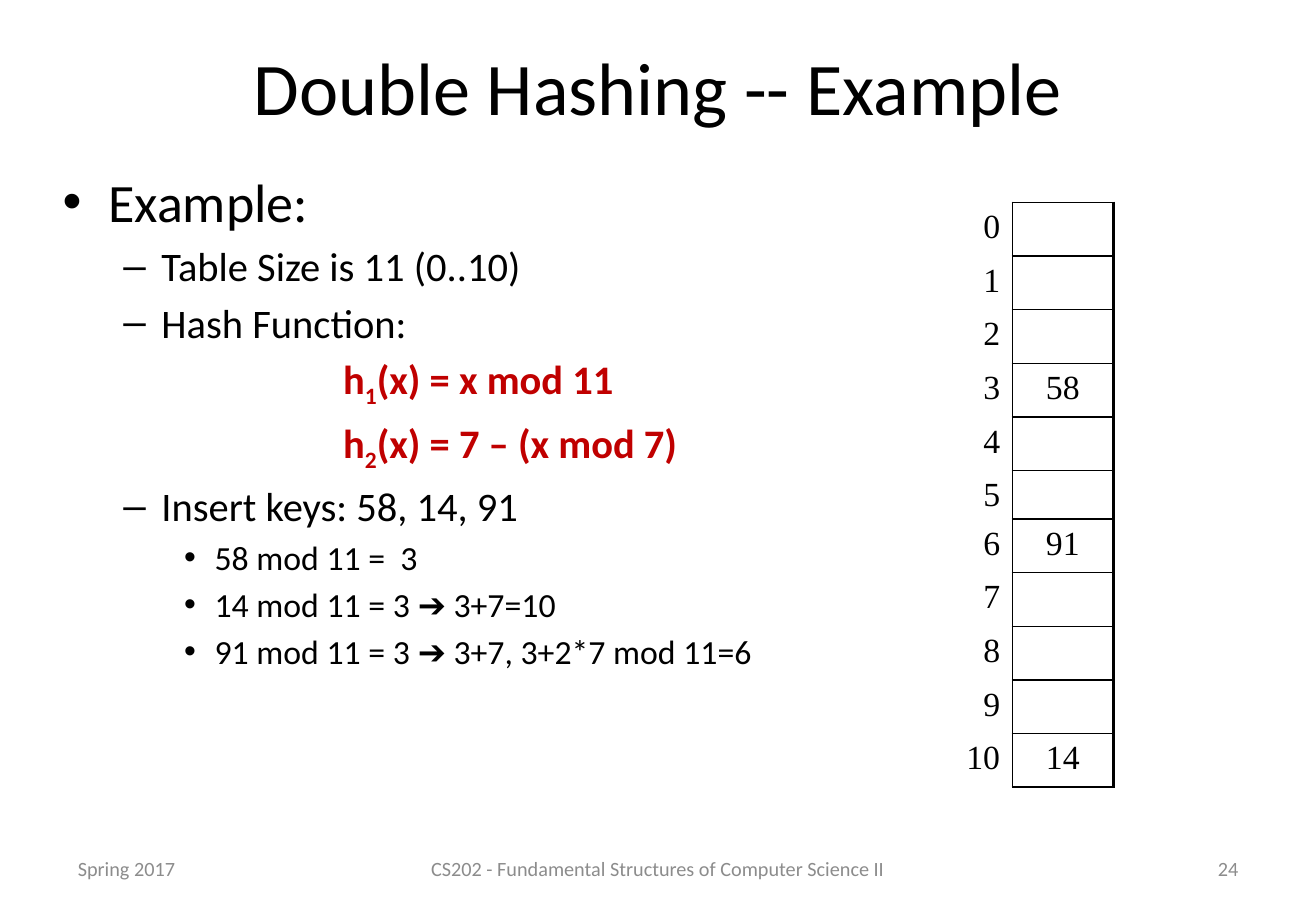
from dataclasses import dataclass

from pptx import Presentation, oxml, util as u
from pptx.dml import color
from pptx.enum import text as t
from pptx.oxml import ns

EMU_PER_PX = 7620


@dataclass(frozen=True)
class Theme:
    black: str = "000000"
    red: str = "C00000"
    grey: str = "8C8C8C"
    sans: str = "Calibri"
    serif: str = "Times New Roman"
    title_size: int = 44
    level_sizes: tuple[int, ...] = (32, 24, 20)
    cell_size: int = 20
    footer_size: int = 12
    thin_line: float = 1
    thick_line: float = 2.25


@dataclass(frozen=True)
class Box:
    left: int
    top: int
    width: int
    height: int

    def emu(self) -> tuple[int, int, int, int]:
        return px(self.left), px(self.top), px(self.width), px(self.height)


@dataclass(frozen=True)
class Bullet:
    text: str
    level: int


@dataclass(frozen=True)
class Formula:
    index: str
    expression: str


@dataclass(frozen=True)
class Footer:
    text: str
    box: Box
    align: t.PP_ALIGN


THEME = Theme()
TITLE_BOX = Box(65, 30, 1170, 110)
BODY_BOX = Box(50, 160, 810, 670)
FORMULA_LEVEL = 1
FORMULA_MARGIN = 277
BODY = (
    Bullet("Example:", 0),
    Bullet("Table Size is 11 (0..10)", 1),
    Bullet("Hash Function:", 1),
    Formula("1", "(x) = x mod 11"),
    Formula("2", "(x) = 7 – (x mod 7)"),
    Bullet("Insert keys: 58, 14, 91", 1),
    Bullet("58 mod 11 =  3", 2),
    Bullet("14 mod 11 = 3 ➔ 3+7=10", 2),
    Bullet("91 mod 11 = 3 ➔ 3+7, 3+2*7 mod 11=6", 2),
)
FOOTERS = (
    Footer("Spring 2017", Box(65, 834, 304, 48), t.PP_ALIGN.LEFT),
    Footer("CS202 - Fundamental Structures of Computer Science II",
           Box(410, 834, 480, 48), t.PP_ALIGN.CENTER),
    Footer("24", Box(931, 834, 304, 48), t.PP_ALIGN.RIGHT),
)
SLOT_COUNT = 11
STORED_KEYS = {3: "58", 6: "91", 10: "14"}
TABLE_LEFT, TABLE_TOP = 930, 200
COLUMN_WIDTHS = (70, 100)
ROW_HEIGHTS = [48 if slot == 5 else 53 for slot in range(SLOT_COUNT)]


def px(length: int) -> int:
    return u.Emu(length * EMU_PER_PX)


def write(paragraph, text: str, *, size: float, font: str = THEME.sans,
          colour: str = THEME.black, bold: bool = False,
          subscript: bool = False, align: t.PP_ALIGN | None = None) -> None:
    run = paragraph.add_run()
    run.text = text
    run.font.size = u.Pt(size)
    run.font.name = font
    run.font.bold = bold
    run.font.color.rgb = color.RGBColor.from_string(colour)
    if subscript:
        run._r.get_or_add_rPr().set("baseline", "-25000")
    if align is not None:
        paragraph.alignment = align


def place(shape, box: Box) -> None:
    shape.left, shape.top, shape.width, shape.height = box.emu()


def write_formula(paragraph, formula: Formula) -> None:
    paragraph.level = FORMULA_LEVEL
    properties = paragraph._p.get_or_add_pPr()
    properties.set("marL", str(px(FORMULA_MARGIN)))
    properties.set("indent", "0")
    properties.append(oxml.parse_xml(f"<a:buNone {ns.nsdecls('a')}/>"))
    parts = (("h", False), (formula.index, True), (formula.expression, False))
    for part, subscript in parts:
        write(paragraph, part, size=THEME.level_sizes[FORMULA_LEVEL],
              colour=THEME.red, bold=True, subscript=subscript)


def fill_body(shape) -> None:
    place(shape, BODY_BOX)
    frame = shape.text_frame
    for index, item in enumerate(BODY):
        paragraph = frame.add_paragraph() if index else frame.paragraphs[0]
        if isinstance(item, Formula):
            write_formula(paragraph, item)
        else:
            paragraph.level = item.level
            write(paragraph, item.text, size=THEME.level_sizes[item.level])


def set_borders(cell, widths: dict[str, float]) -> None:
    properties = cell._tc.get_or_add_tcPr()
    for side, width in widths.items():
        properties.append(oxml.parse_xml(
            f'<a:ln{side} {ns.nsdecls("a")} w="{u.Pt(width)}"><a:solidFill>'
            f'<a:srgbClr val="{THEME.black}"/></a:solidFill></a:ln{side}>'))


def format_cell(cell, text: str, align: t.PP_ALIGN,
                borders: dict[str, float]) -> None:
    set_borders(cell, borders)
    cell.fill.background()
    cell.margin_top, cell.margin_bottom = px(6), px(2)
    if text:
        write(cell.text_frame.paragraphs[0], text, size=THEME.cell_size,
              font=THEME.serif, align=align)


def add_hash_table(slide) -> None:
    box = Box(TABLE_LEFT, TABLE_TOP, sum(COLUMN_WIDTHS), sum(ROW_HEIGHTS))
    table = slide.shapes.add_table(
        SLOT_COUNT, len(COLUMN_WIDTHS), *box.emu()).table
    table.first_row = table.horz_banding = False
    for column, width in zip(table.columns, COLUMN_WIDTHS):
        column.width = px(width)
    label_borders = {"R": THEME.thin_line}
    key_borders = {"L": THEME.thin_line, "R": THEME.thick_line,
                   "T": THEME.thin_line, "B": THEME.thin_line}
    for slot, height in enumerate(ROW_HEIGHTS):
        table.rows[slot].height = px(height)
        format_cell(table.cell(slot, 0), str(slot), t.PP_ALIGN.RIGHT,
                    label_borders)
        format_cell(table.cell(slot, 1), STORED_KEYS.get(slot, ""),
                    t.PP_ALIGN.CENTER, key_borders)


def add_footer(slide, footer: Footer) -> None:
    frame = slide.shapes.add_textbox(*footer.box.emu()).text_frame
    frame.word_wrap = True
    frame.vertical_anchor = t.MSO_ANCHOR.MIDDLE
    write(frame.paragraphs[0], footer.text, size=THEME.footer_size,
          colour=THEME.grey, align=footer.align)


def main() -> None:
    presentation = Presentation()
    presentation.slide_width, presentation.slide_height = px(1300), px(900)
    slide = presentation.slides.add_slide(presentation.slide_layouts[1])
    title = slide.shapes.title
    place(title, TITLE_BOX)
    title.text_frame.vertical_anchor = t.MSO_ANCHOR.MIDDLE
    write(title.text_frame.paragraphs[0], "Double Hashing -- Example",
          size=THEME.title_size, align=t.PP_ALIGN.CENTER)
    fill_body(slide.placeholders[1])
    for footer in FOOTERS:
        add_footer(slide, footer)
    add_hash_table(slide)
    presentation.save("out.pptx")


if __name__ == "__main__":
    main()
